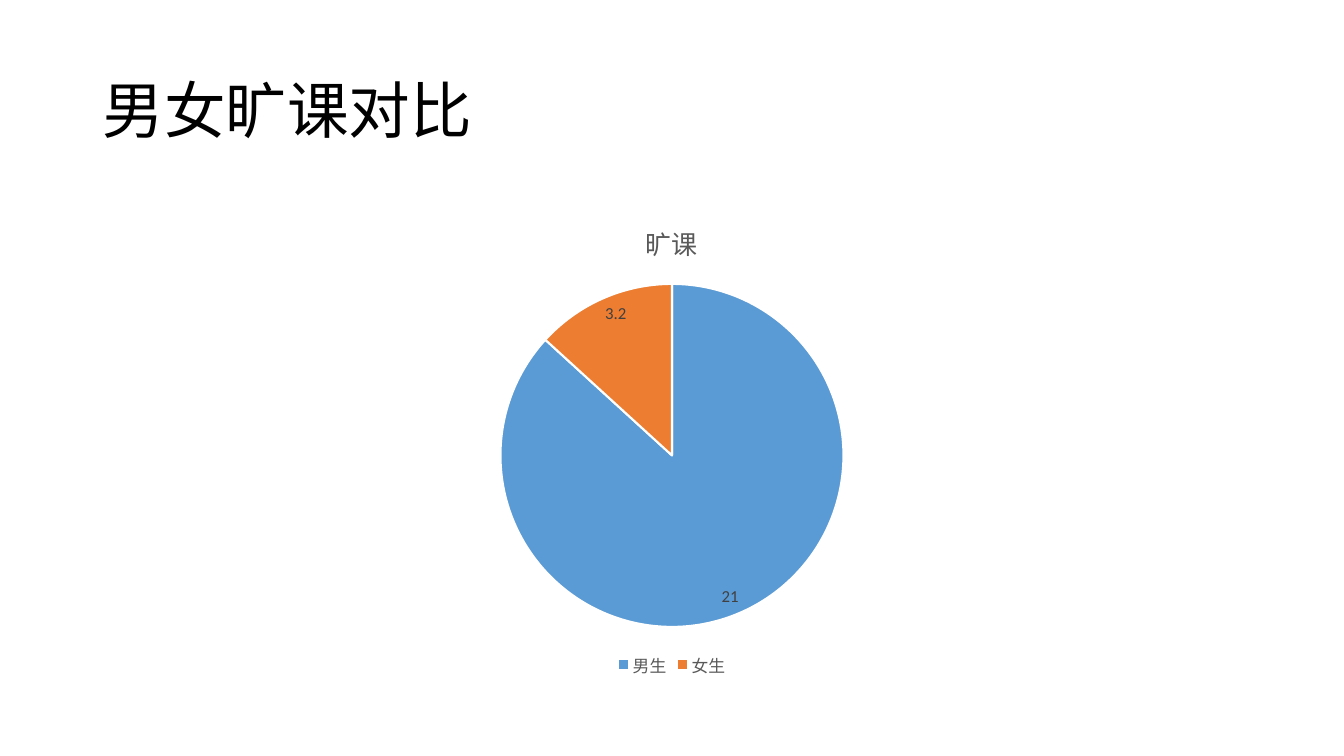
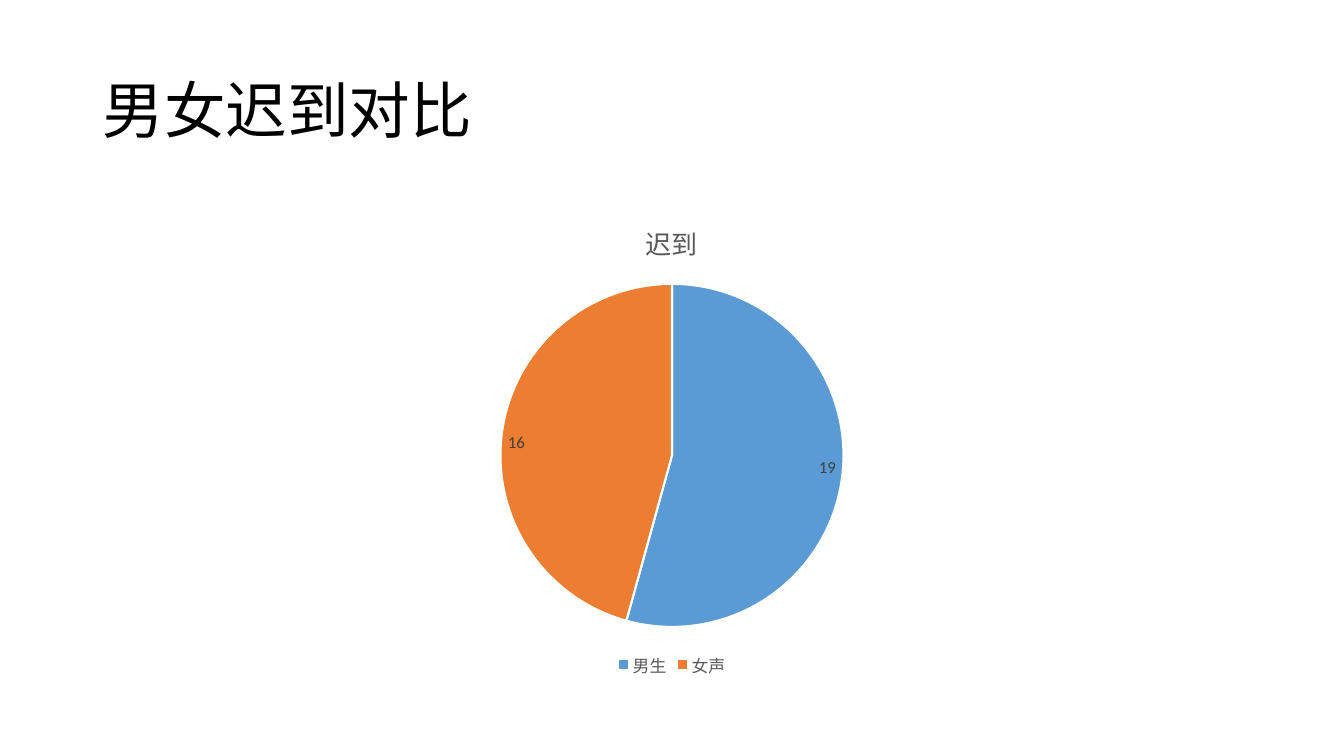
from pptx import Presentation
from pptx.chart.data import CategoryChartData
from pptx.dml.color import RGBColor
from pptx.enum.chart import XL_CHART_TYPE as ChartType
from pptx.enum.chart import XL_LABEL_POSITION as LabelPos
from pptx.enum.chart import XL_LEGEND_POSITION as LegendPos
from pptx.enum.lang import MSO_LANGUAGE_ID as Lang
from pptx.enum.text import MSO_ANCHOR as Anchor
from pptx.enum.text import PP_ALIGN as Align
from pptx.util import Pt

# Shared style
FONT = "Calibri"
COLORS = {
    "title": "000000",
    "muted": "595959",
    "label": "404040",
    "edge": "FFFFFF",
    "boys": "5B9BD5",
    "girls": "ED7D31",
}
TITLE_ONLY = 5
LEFT, WIDTH = 66, 828
TITLE_TOP, TITLE_HEIGHT = 28.8, 104.4
CHART_TOP, CHART_HEIGHT = 144, 342.7

# Slide title, series name, categories, values
SLIDES = [
    ("男女旷课对比", "旷课", ("男生", "女生"), (21, 3.2)),
    ("男女迟到对比", "迟到", ("男生", "女声"), (19, 16)),
]


def rgb(name):
    return RGBColor.from_string(COLORS[name])


def style_font(font, size, color):
    font.name = FONT
    font.size = Pt(size)
    font.bold = False
    font.color.rgb = rgb(color)


def set_text(tf, text, size=12, color="title", align=None, spacing=None):
    p = tf.paragraphs[0]
    p.alignment = align
    p.line_spacing = spacing
    r = p.add_run()
    r.text = text
    style_font(r.font, size, color)
    r.font.language_id = Lang.SIMPLIFIED_CHINESE


def add_title(s, text):
    sp = s.shapes.title
    sp.left, sp.top = Pt(LEFT), Pt(TITLE_TOP)
    sp.width, sp.height = Pt(WIDTH), Pt(TITLE_HEIGHT)
    tf = sp.text_frame
    tf.vertical_anchor = Anchor.MIDDLE
    set_text(tf, text, size=44, align=Align.LEFT, spacing=0.9)


def add_pie(s, name, cats, vals):
    data = CategoryChartData()
    data.categories = cats
    data.add_series(name, vals)
    chart = s.shapes.add_chart(
        ChartType.PIE, Pt(LEFT), Pt(CHART_TOP), Pt(WIDTH), Pt(CHART_HEIGHT), data
    ).chart
    style_font(chart.font, 10, "title")

    # Title and legend
    chart.has_title = True
    set_text(chart.chart_title.text_frame, name, size=18.6, color="muted")
    chart.chart_title.include_in_layout = False
    chart.has_legend = True
    chart.legend.position = LegendPos.BOTTOM
    chart.legend.include_in_layout = False
    style_font(chart.legend.font, 12, "muted")

    # Slices
    plot = chart.plots[0]
    plot.vary_by_categories = True
    series = plot.series[0]
    for i, color in enumerate(("boys", "girls")):
        fmt = series.points[i].format
        fmt.fill.solid()
        fmt.fill.fore_color.rgb = rgb(color)
        fmt.line.color.rgb = rgb("edge")
        fmt.line.width = Pt(1.5)

    # Value labels
    labels = series.data_labels
    labels.show_value = True
    labels.position = LabelPos.INSIDE_END
    style_font(labels.font, 12, "label")


def main():
    prs = Presentation()
    prs.slide_width, prs.slide_height = Pt(960), Pt(540)
    for title, name, cats, vals in SLIDES:
        s = prs.slides.add_slide(prs.slide_layouts[TITLE_ONLY])
        add_title(s, title)
        add_pie(s, name, cats, vals)
    prs.save("out.pptx")


if __name__ == "__main__":
    main()
